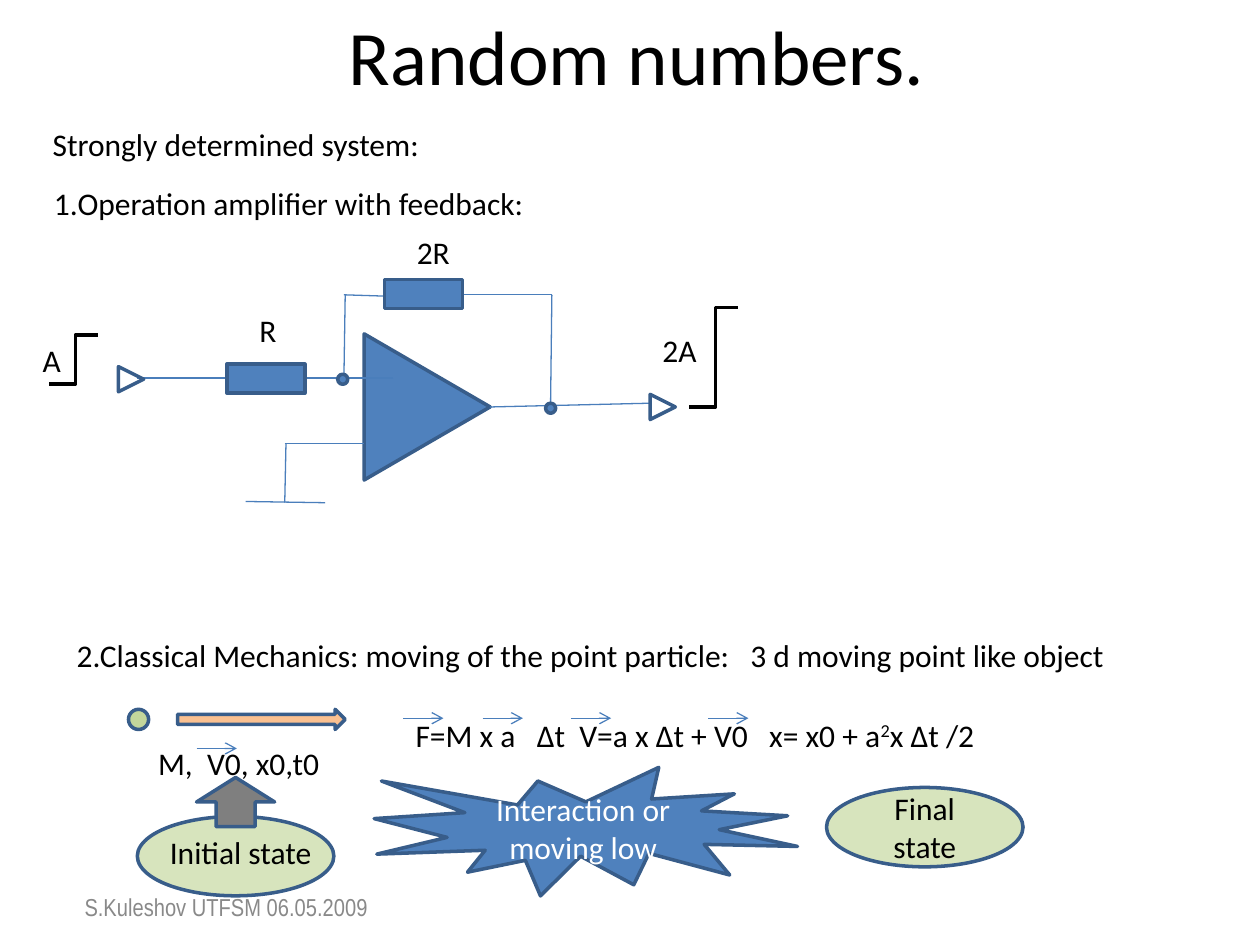
from lxml.etree import SubElement
from pptx import Presentation
from pptx.dml.color import RGBColor
from pptx.enum.shapes import MSO_CONNECTOR, MSO_SHAPE
from pptx.enum.text import MSO_ANCHOR, PP_ALIGN
from pptx.oxml.ns import qn
from pptx.util import Inches, Pt

BLACK = RGBColor(0x00, 0x00, 0x00)
WHITE = RGBColor(0xFF, 0xFF, 0xFF)
GRAY = RGBColor(0x89, 0x89, 0x89)
DARK_GRAY = RGBColor(0x7F, 0x7F, 0x7F)
BLUE = RGBColor(0x4F, 0x81, 0xBD)
OUTLINE = RGBColor(0x38, 0x5D, 0x8A)
WIRE = RGBColor(0x4A, 0x7E, 0xBB)
GREEN = RGBColor(0xC3, 0xD6, 0x9B)
PALE_GREEN = RGBColor(0xD7, 0xE4, 0xBD)
ORANGE = RGBColor(0xFA, 0xC0, 0x90)


def write(tf, text, size=18, font="Calibri", color=BLACK, align=PP_ALIGN.LEFT,
          anchor=MSO_ANCHOR.TOP, wrap=True, superscript=None):
    tf.word_wrap = wrap
    tf.vertical_anchor = anchor
    p = tf.paragraphs[0]
    p.alignment = align
    for i, part in enumerate(text.split(superscript) if superscript else [text]):
        for piece in ([superscript, part] if i else [part]):
            r = p.add_run()
            r.text = piece.strip("^")
            r.font.size = Pt(size)
            r.font.name = font
            r.font.color.rgb = color
            if piece == superscript:
                r.font._element.set("baseline", "30000")


def add_line(kind, x1, y1, x2, y2, color, width):
    c = s.shapes.add_connector(kind, Inches(x1), Inches(y1), Inches(x2), Inches(y2))
    c.line.color.rgb = color
    c.line.width = Pt(width)
    SubElement(c._element.spPr, qn("a:effectLst"))
    return c


prs = Presentation()
prs.slide_width, prs.slide_height = Inches(10), Inches(7.5)
s = prs.slides.add_slide(prs.slide_layouts[6])

wires = [
    (2.26, 3.52, 2.89, 3.52), (2.27, 3.52, 2.26, 3.99), (1.95, 3.98, 2.58, 3.99),
    (3.12, 3, 2.42, 3), (1.8, 3, 1.09, 3),
    (2.73, 2.97, 2.74, 2.34), (2.73, 2.34, 3.05, 2.35),
    (3.89, 3.23, 5.16, 3.2), (3.67, 2.34, 4.38, 2.34), (4.38, 2.34, 4.37, 3.2),
]
shapes = [
    (MSO_SHAPE.ISOSCELES_TRIANGLE, 2.81, 2.73, 1.16, 1, 90, BLUE),
    (MSO_SHAPE.RECTANGLE, 3.05, 2.22, 0.62, 0.23, 0, BLUE),
    (MSO_SHAPE.RECTANGLE, 1.8, 2.89, 0.62, 0.23, 0, BLUE),
    (MSO_SHAPE.FLOWCHART_CONNECTOR, 2.68, 2.97, 0.08, 0.08, 0, BLUE),
    (MSO_SHAPE.FLOWCHART_CONNECTOR, 4.33, 3.2, 0.08, 0.08, 0, BLUE),
    (MSO_SHAPE.ISOSCELES_TRIANGLE, 0.94, 2.91, 0.2, 0.2, 90, None),
    (MSO_SHAPE.ISOSCELES_TRIANGLE, 5.16, 3.13, 0.2, 0.2, 90, None),
    (MSO_SHAPE.FLOWCHART_CONNECTOR, 1.02, 5.63, 0.16, 0.16, 0, GREEN),
    (MSO_SHAPE.RIGHT_ARROW, 1.41, 5.63, 1.33, 0.16, 0, ORANGE),
    (MSO_SHAPE.EXPLOSION1, 2.97, 6.09, 3.36, 1.02, 0, BLUE, "Interaction or moving low", WHITE),
    (MSO_SHAPE.OVAL, 1.09, 6.48, 1.56, 0.63, 0, PALE_GREEN),
    (MSO_SHAPE.UP_ARROW, 1.56, 6.17, 0.62, 0.39, 0, DARK_GRAY),
    (MSO_SHAPE.OVAL, 6.56, 6.25, 1.56, 0.63, 0, PALE_GREEN, "Final state", BLACK),
]
for kind, x, y, w, h, rotation, fill, *label in shapes:
    sp = s.shapes.add_shape(kind, Inches(x), Inches(y), Inches(w), Inches(h))
    sp.shadow.inherit = False
    sp.rotation = rotation
    if fill is None:
        sp.fill.background()
    else:
        sp.fill.solid()
        sp.fill.fore_color.rgb = fill
    sp.line.color.rgb = OUTLINE
    sp.line.width = Pt(2)
    if label:
        write(sp.text_frame, label[0], color=label[1], align=PP_ALIGN.CENTER,
              anchor=MSO_ANCHOR.MIDDLE)
    if kind == MSO_SHAPE.ISOSCELES_TRIANGLE and fill == BLUE:
        for wire in wires:
            add_line(MSO_CONNECTOR.STRAIGHT, *wire, WIRE, 0.75)

for x, y, h in [(0.39, 3.05, 0.39), (5.47, 3.23, 0.79)]:
    step = add_line(MSO_CONNECTOR.ELBOW, x, y, x + 0.39, y - h, BLACK, 2)
    guides = step._element.spPr.find(qn("a:prstGeom")).get_or_add_avLst()
    SubElement(guides, qn("a:gd"), name="adj1", fmla="val 53300")

for x, y in [(3.2, 5.7), (3.83, 5.7), (4.53, 5.7), (5.62, 5.7), (1.56, 5.94)]:
    vector = add_line(MSO_CONNECTOR.STRAIGHT, x, y, x + 0.32, y, WIRE, 0.75)
    SubElement(vector.line._get_or_add_ln(), qn("a:tailEnd"), type="arrow")

center = {"align": PP_ALIGN.CENTER}
label = {"wrap": False}
texts = [
    (0.94, 0, 8.23, 0.87, "Random numbers.", {"size": 44, "anchor": MSO_ANCHOR.MIDDLE, **center}),
    (0, 7.03, 3.59, 0.28, "S.Kuleshov UTFSM 06.05.2009",
     {"size": 14, "font": "Arial Narrow", "color": GRAY, **center}),
    (0.32, 0.94, 3.13, 0.4, "Strongly determined system:", label),
    (0.33, 1.41, 3.94, 0.4, "1.Operation amplifier with feedback:", label),
    (0.24, 2.66, 0.34, 0.4, "A", label),
    (5.16, 2.58, 0.47, 0.4, "2A", label),
    (3.21, 1.8, 0.46, 0.4, "2R", label),
    (1.96, 2.42, 0.33, 0.4, "R", label),
    (0.51, 5, 8.38, 0.4,
     "2.Classical Mechanics: moving of the point particle:   3 d moving point like object", label),
    (1.1, 5.86, 1.54, 0.4, " M,  V0, x0,t0", label),
    (3.2, 5.63, 5.23, 0.4, "F=M x a   ∆t  V=a x ∆t + V0   x= x0 + a^2x ∆t /2",
     {"superscript": "^2"}),
    (1.25, 6.56, 1.33, 0.4, "Initial state", label),
]
for x, y, w, h, text, style in texts:
    tb = s.shapes.add_textbox(Inches(x), Inches(y), Inches(w), Inches(h))
    write(tb.text_frame, text, **style)
    if text.startswith("S.Kuleshov"):
        tb.text_frame.paragraphs[0].space_before = Pt(3.5)

prs.save("out.pptx")
